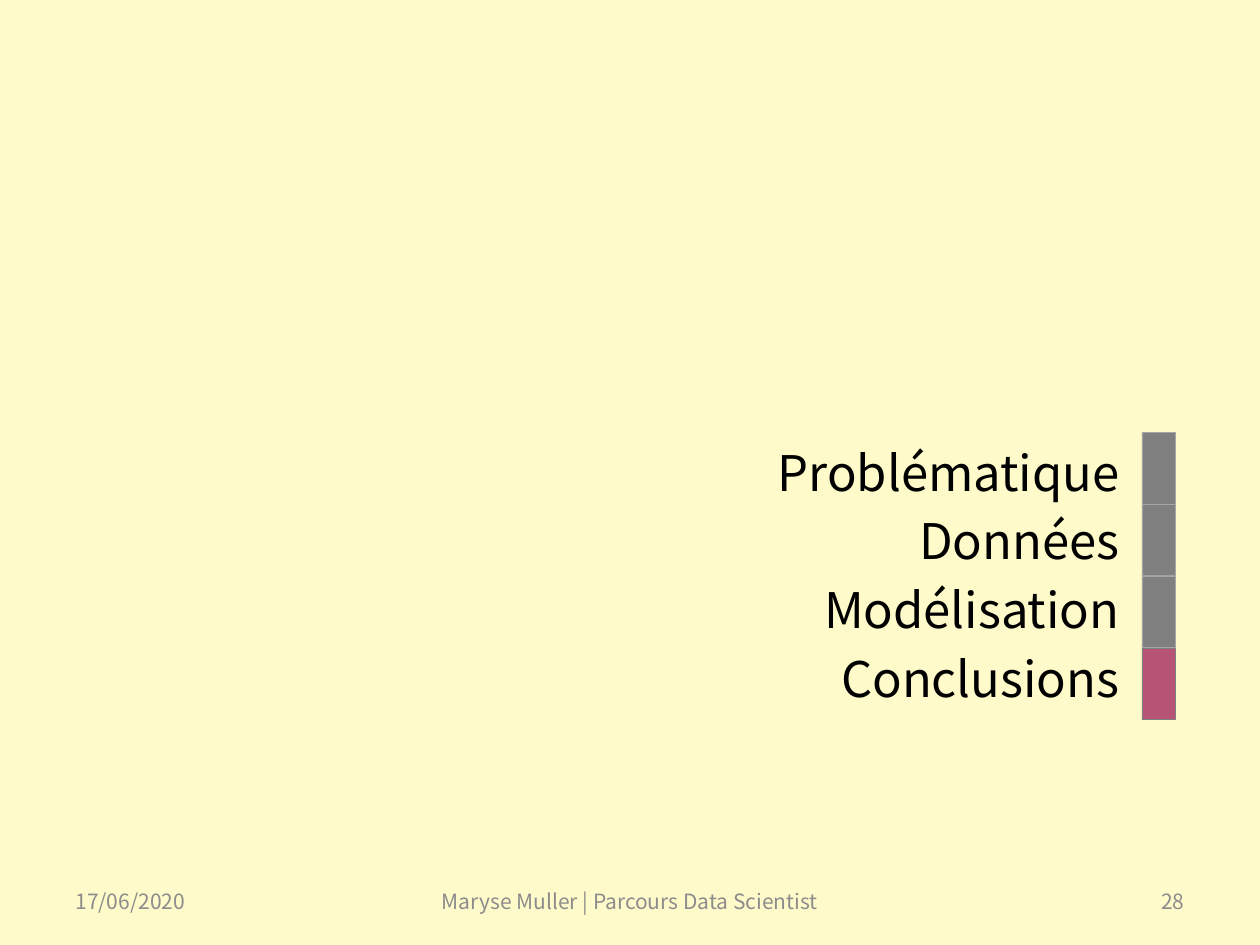
from dataclasses import dataclass

from lxml import etree
from pptx import Presentation
from pptx.dml.color import RGBColor
from pptx.enum.shapes import MSO_SHAPE
from pptx.enum.text import MSO_ANCHOR, MSO_AUTO_SIZE, PP_ALIGN
from pptx.oxml.ns import qn
from pptx.util import Emu, Pt

LEFT, CENTER, RIGHT = PP_ALIGN.LEFT, PP_ALIGN.CENTER, PP_ALIGN.RIGHT
TOP, MIDDLE = MSO_ANCHOR.TOP, MSO_ANCHOR.MIDDLE
RECTANGLE = MSO_SHAPE.RECTANGLE
NO_AUTOFIT = MSO_AUTO_SIZE.NONE
EMU_PER_PX = 914400 / 126


@dataclass(frozen=True)
class Theme:
    font: str = "Noto Sans CJK JP"
    background: str = "FEFAC9"
    agenda: str = "000000"
    footer: str = "8C8C8C"
    past: str = "808080"
    past_edge: str = "A6A6A6"
    current: str = "B55475"
    agenda_size: int = 28
    footer_size: int = 12


@dataclass(frozen=True)
class FooterItem:
    text: str
    left: int
    width: int
    align: PP_ALIGN


THEME = Theme()
SECTIONS = ["Problématique", "Données", "Modélisation", "Conclusions"]
CURRENT_SECTION = "Conclusions"
FOOTER = [
    FooterItem("17/06/2020", 63, 294, LEFT),
    FooterItem("Maryse Muller | Parcours Data Scientist", 397, 466, CENTER),
    FooterItem("28", 903, 294, RIGHT),
]
FOOTER_TOP, FOOTER_HEIGHT = 876, 50
MARKER_LEFT, MARKER_TOP, MARKER_WIDTH, MARKER_HEIGHT = 1142, 432, 34, 72


def px(length: int) -> Emu:
    return Emu(round(length * EMU_PER_PX))


def color(value: str) -> RGBColor:
    return RGBColor.from_string(value)


def format_text(frame, size: int, ink: str, align: PP_ALIGN) -> None:
    for paragraph in frame.paragraphs:
        paragraph.alignment = align
        for run in paragraph.runs:
            run.font.name = THEME.font
            run.font.size = Pt(size)
            run.font.color.rgb = color(ink)


def draw_agenda(body) -> None:
    body.left, body.top, body.width, body.height = map(px, (512, 436, 620, 294))
    frame = body.text_frame
    frame.text = "\n".join(SECTIONS)
    frame.auto_size = NO_AUTOFIT
    frame.vertical_anchor = TOP
    format_text(frame, THEME.agenda_size, THEME.agenda, RIGHT)
    for paragraph in frame.paragraphs:
        paragraph.space_before = Pt(THEME.agenda_size * 0.2)
        properties = paragraph._p.get_or_add_pPr()
        properties.set("marL", "0")
        properties.set("indent", "0")
        etree.SubElement(properties, qn("a:buNone"))


def draw_footer(slide, item: FooterItem) -> None:
    bounds = (item.left, FOOTER_TOP, item.width, FOOTER_HEIGHT)
    frame = slide.shapes.add_textbox(*map(px, bounds)).text_frame
    frame.word_wrap = True
    frame.vertical_anchor = MIDDLE
    frame.text = item.text
    format_text(frame, THEME.footer_size, THEME.footer, item.align)


def draw_marker(shapes, position: int, fill: str, edge: str) -> None:
    top = MARKER_TOP + position * MARKER_HEIGHT
    bounds = (MARKER_LEFT, top, MARKER_WIDTH, MARKER_HEIGHT)
    marker = shapes.add_shape(RECTANGLE, *map(px, bounds))
    marker.shadow.inherit = False
    marker.fill.solid()
    marker.fill.fore_color.rgb = color(fill)
    marker.line.color.rgb = color(edge)
    marker.line.width = Pt(0.5)


def main() -> None:
    deck = Presentation()
    deck.slide_width, deck.slide_height = px(1260), px(945)
    slide = deck.slides.add_slide(deck.slide_layouts[1])
    slide.background.fill.solid()
    slide.background.fill.fore_color.rgb = color(THEME.background)

    title = slide.shapes.title._element
    title.getparent().remove(title)
    draw_agenda(slide.placeholders[1])
    for item in FOOTER:
        draw_footer(slide, item)

    past_markers = slide.shapes.add_group_shape().shapes
    for position, section in enumerate(SECTIONS):
        if section == CURRENT_SECTION:
            draw_marker(slide.shapes, position, THEME.current, THEME.past)
        else:
            draw_marker(past_markers, position, THEME.past, THEME.past_edge)

    deck.save("out.pptx")


if __name__ == "__main__":
    main()
